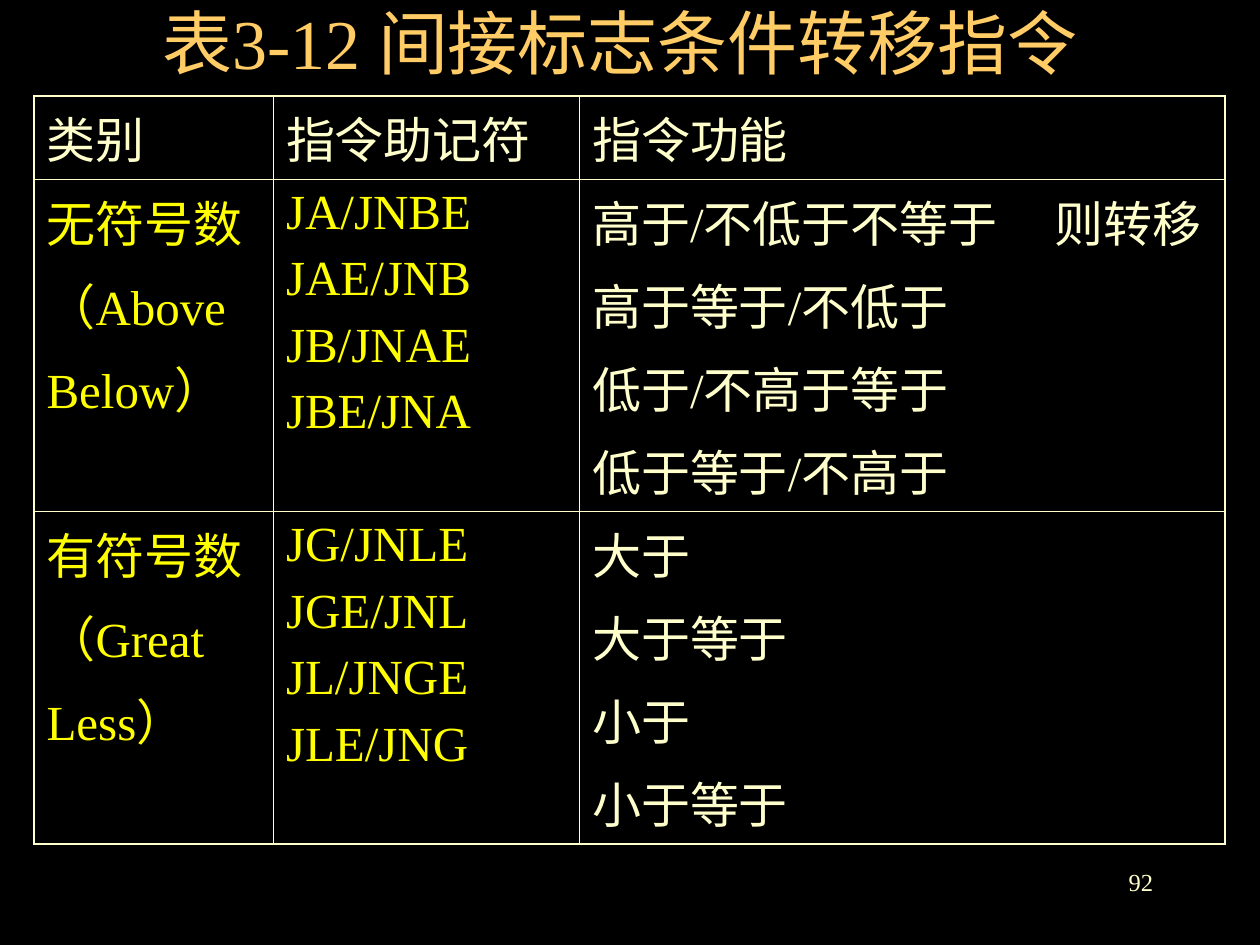
from dataclasses import dataclass

from lxml.etree import SubElement
from pptx import Presentation
from pptx.dml.color import RGBColor as RGB
from pptx.enum.text import MSO_ANCHOR as Anchor, MSO_AUTO_SIZE as AutoSize, PP_ALIGN as Align
from pptx.oxml.ns import qn
from pptx.util import Inches, Pt


@dataclass(frozen=True)
class Theme:
    font: str = "Times New Roman"
    background: str = "000000"
    title: str = "FFCC66"
    text: str = "FFFFCC"
    accent: str = "FFFF00"
    border: str = "FFFFCC"
    title_size: float = 40
    table_size: float = 28
    number_size: float = 14
    line_gap: float = 7
    outer_line: float = 1.08
    inner_line: float = 0.45


THEME = Theme()

COLUMN_WIDTHS = [1.9, 2.43, 5.12]
ROW_HEIGHTS = [0.61, 2.26, 2.26]
CONDITION_TAB = 3.67  # where "则转移" begins in the function column

INSTRUCTIONS = [
    [["类别"], ["指令助记符"], ["指令功能"]],
    [
        ["无符号数", "（Above", "Below）"],
        ["JA/JNBE", "JAE/JNB", "JB/JNAE", "JBE/JNA"],
        ["高于/不低于不等于\t则转移", "高于等于/不低于", "低于/不高于等于", "低于等于/不高于"],
    ],
    [
        ["有符号数", "（Great", "Less）"],
        ["JG/JNLE", "JGE/JNL", "JL/JNGE", "JLE/JNG"],
        ["大于", "大于等于", "小于", "小于等于"],
    ],
]


def add_run(paragraph, text, size, color):
    run = paragraph.add_run()
    run.text = text
    run.font.name = THEME.font
    run.font.size = Pt(size)
    run.font.color.rgb = RGB.from_string(color)


def place(shape, box):
    shape.left, shape.top, shape.width, shape.height = map(Inches, box)


def add_tab(paragraph, position):
    tabs = SubElement(paragraph._p.get_or_add_pPr(), qn("a:tabLst"))
    SubElement(tabs, qn("a:tab"), pos=str(Inches(position)), algn="l")


def set_borders(cell, widths):
    """Draw the cell's left, right, top and bottom lines, before its fill."""
    properties = cell._tc.get_or_add_tcPr()
    for side, width in zip(("lnL", "lnR", "lnT", "lnB"), widths):
        line = SubElement(properties, qn(f"a:{side}"), w=str(Pt(width)))
        fill = SubElement(line, qn("a:solidFill"))
        SubElement(fill, qn("a:srgbClr"), val=THEME.border)


def fill_cell(cell, lines, color):
    frame = cell.text_frame
    for index, line in enumerate(lines):
        paragraph = frame.add_paragraph() if index else frame.paragraphs[0]
        if index:
            paragraph.space_before = Pt(THEME.line_gap)
        if "\t" in line:
            add_tab(paragraph, CONDITION_TAB)
        add_run(paragraph, line, THEME.table_size, color)


def add_title(slide, box):
    title = slide.shapes.title
    place(title, box)
    frame = title.text_frame
    frame.auto_size = AutoSize.NONE
    frame.vertical_anchor = Anchor.BOTTOM
    paragraph = frame.paragraphs[0]
    paragraph.alignment = Align.CENTER
    add_run(paragraph, "表3-12 间接标志条件转移指令", THEME.title_size, THEME.title)


def add_instruction_table(slide, box):
    rows, columns = len(ROW_HEIGHTS), len(COLUMN_WIDTHS)
    table = slide.shapes.add_table(rows, columns, *map(Inches, box)).table
    table.first_row = table.horz_banding = False
    for column, width in zip(table.columns, COLUMN_WIDTHS):
        column.width = Inches(width)
    for row, height in zip(table.rows, ROW_HEIGHTS):
        row.height = Inches(height)

    for r, row_texts in enumerate(INSTRUCTIONS):
        for c, lines in enumerate(row_texts):
            cell = table.cell(r, c)
            cell.margin_left = cell.margin_right = Inches(0.1)
            cell.margin_top = cell.margin_bottom = Inches(0.05)
            on_edge = (c == 0, c == columns - 1, r == 0, r == rows - 1)
            set_borders(cell, [THEME.outer_line if edge else THEME.inner_line for edge in on_edge])
            cell.fill.background()
            # Categories and mnemonics stand out below the header row
            highlighted = r > 0 and c < columns - 1
            fill_cell(cell, lines, THEME.accent if highlighted else THEME.text)


def add_page_number(slide, box):
    frame = slide.shapes.add_textbox(*map(Inches, box)).text_frame
    frame.word_wrap = True
    paragraph = frame.paragraphs[0]
    paragraph.alignment = Align.RIGHT
    add_run(paragraph, "92", THEME.number_size, THEME.text)


def main():
    deck = Presentation()
    deck.slide_width, deck.slide_height = Inches(10), Inches(7.5)
    slide = deck.slides.add_slide(deck.slide_layouts.get_by_name("Title Only"))
    backdrop = slide.background.fill
    backdrop.solid()
    backdrop.fore_color.rgb = RGB.from_string(THEME.background)

    add_title(slide, (0.67, 0.21, 8.5, 0.5))
    add_instruction_table(slide, (0.27, 0.76, sum(COLUMN_WIDTHS), sum(ROW_HEIGHTS)))
    add_page_number(slide, (7.17, 6.83, 2.08, 0.5))
    deck.save("out.pptx")


if __name__ == "__main__":
    main()
